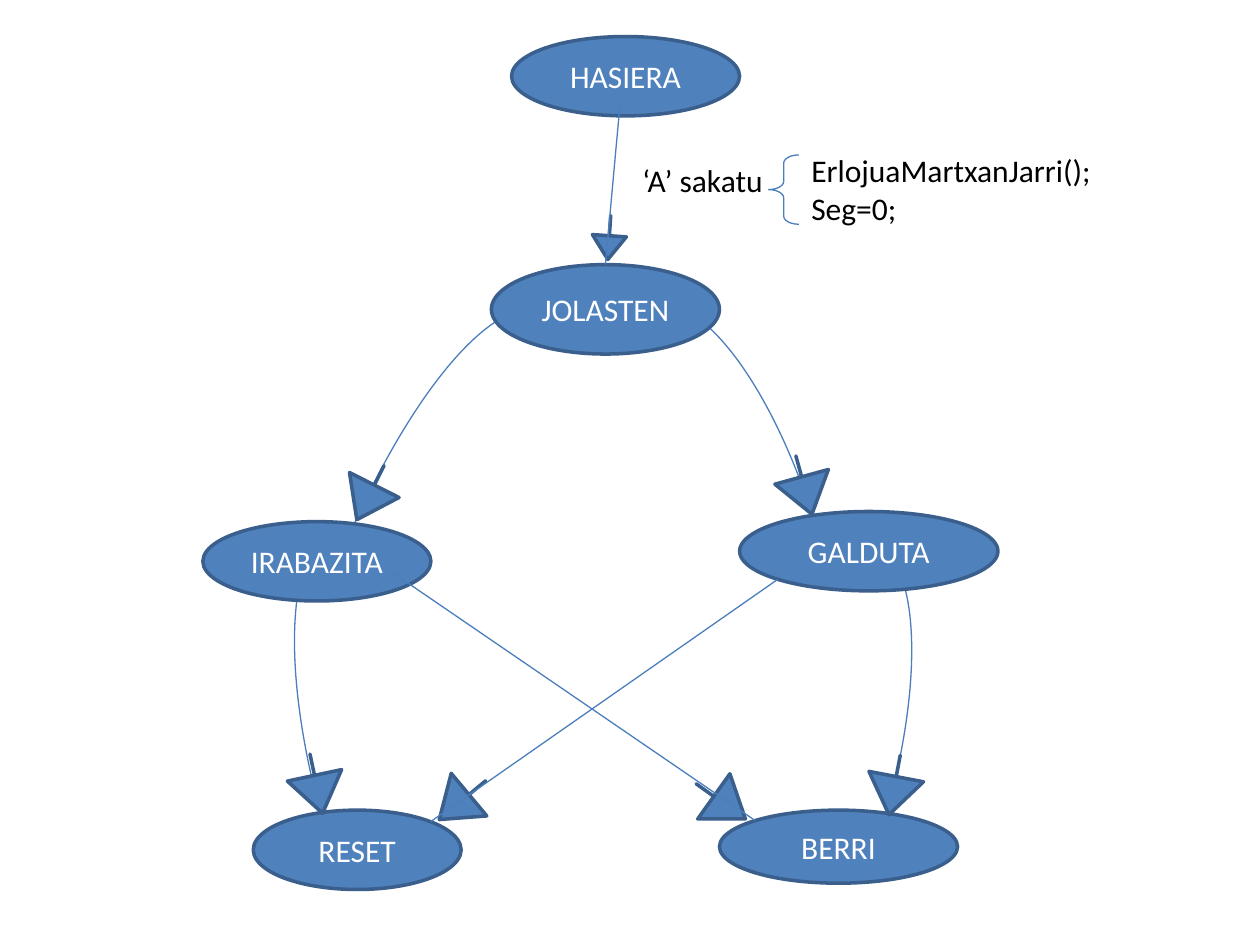
import pptx
import pptx.util
import pptx.dml.color
import pptx.enum.shapes
import pptx.enum.text
import pptx.oxml.ns

COLS, ROWS = 100, 75
HUES = {"fill": "4F81BD", "edge": "3A5F8C", "wire": "4B7EBC",
        "light": "FFFFFF", "dark": "000000"}
KIND = pptx.enum.shapes.MSO_SHAPE
FONT = {"name": "Calibri", "size": pptx.util.Pt(18)}
MID = {"vertical_anchor": pptx.enum.text.MSO_ANCHOR.MIDDLE, "word_wrap": True}
FREE = {"vertical_anchor": pptx.enum.text.MSO_ANCHOR.TOP, "word_wrap": False}

deck = pptx.Presentation()
deck.slide_width = pptx.util.Inches(10)
deck.slide_height = pptx.util.Inches(7.5)
slide = deck.slides.add_slide(deck.slide_layouts[6])
parts = slide.shapes


def spot(box, x, y):
    """Slide position of a column and row counted from the box's corner."""
    return (int((box[0] + x) * deck.slide_width / COLS),
            int((box[1] + y) * deck.slide_height / ROWS))


def area(box, x, y, w, h):
    return spot(box, x, y) + spot((0, 0), w, h)


def shade(name):
    return pptx.dml.color.RGBColor.from_string(HUES[name])


def apply(item, values):
    for key, value in values.items():
        setattr(item, key, value)


def ink(line, hue, width):
    line.color.rgb = shade(hue)
    line.width = pptx.util.Pt(width)


def write(shape, rows, hue, frame, align):
    apply(shape.text_frame, frame)
    shape.text_frame.text = "\n".join(rows)
    for para in shape.text_frame.paragraphs:
        para.alignment = align
        apply(para.font, FONT)
        para.font.color.rgb = shade(hue)


def draw(kind, place, turn=0, adjust=(), solid=True):
    """Solid shape with a strong edge, or a thin open outline."""
    shape = parts.add_shape(kind, *place)
    shape.shadow.inherit = False
    shape.rotation = turn
    for i, value in enumerate(adjust):
        shape.adjustments[i] = value
    if solid:
        shape.fill.solid()
        shape.fill.fore_color.rgb = shade("fill")
        ink(shape.line, "edge", 2)
    else:
        shape.fill.background()
        ink(shape.line, "wire", 0.75)
    return shape


def curves(box):
    left, right = (162, 215.16), (0.65, 54)
    for place, turn, sweep in [
            ((9.1, 57.8, 51.9, 17.3), 251.3, left),
            ((33.6, 38.3, 47.3, 17.3), 255.6, right),
            ((35.9, 57.6, 49.8, 17.3), 289.2, right),
            ((6.4, 41.8, 54.9, 17.3), 290, left)]:
        draw(KIND.ARC, area(box, *place), turn, sweep, solid=False)


def states(box):
    nodes = {}
    for name, *place in [
            ("HASIERA", 40.6, 2.9, 18.1, 6.3),
            ("JOLASTEN", 39, 21, 18.1, 7.1),
            ("IRABAZITA", 16.1, 41.4, 18.1, 6.3),
            ("GALDUTA", 58.7, 40.6, 20.5, 6.3),
            ("BERRI", 57.1, 64.3, 18.9, 5.8),
            ("RESET", 20.1, 64.3, 16.5, 6.3)]:
        nodes[name] = draw(KIND.OVAL, area(box, *place))
        write(nodes[name], [name], "light", MID, pptx.enum.text.PP_ALIGN.CENTER)
    return nodes


def heads(box):
    big = (4.4, 4.8)
    for x, y, size, turn in [
            (47, 17.1, (2.7, 3.5), 183.8),
            (27.2, 36.7, big, 206.7),
            (61.6, 36.1, big, 164.6),
            (22.9, 59.8, big, 168),
            (68.8, 59.9, big, 190.8),
            (55, 61.2, big, 125.5),
            (34.5, 61.1, big, 230.1)]:
        draw(KIND.UP_ARROW, area(box, x, y, *size), turn, (0, 0.7))


def wires(box, nodes):
    for start, end, goal in [
            ((31.1, 45.4), (59.9, 65.1), None),
            ((61.7, 46), (34.2, 65.2), None),
            ((49.2, 8.4), (48, 21), "JOLASTEN")]:
        wire = parts.add_connector(pptx.enum.shapes.MSO_CONNECTOR.STRAIGHT,
                                   *spot(box, *start), *spot(box, *end))
        ink(wire.line, "wire", 0.75)
        props = wire.element.spPr
        props.append(props.makeelement(pptx.oxml.ns.qn("a:effectLst"), {}))
        if goal:
            wire.end_connect(nodes[goal], 0)


def note(box):
    """Event on the left, brace, and the actions it sets off."""
    def words(place, rows):
        write(parts.add_textbox(*area(box, *place)), rows, "dark", FREE,
              pptx.enum.text.PP_ALIGN.LEFT)

    words((0, 0.8, 11.8, 4), ["‘A’ sakatu"])
    draw(KIND.LEFT_BRACE, area(box, 11, 0.8, 2.4, 5.5),
         adjust=(0.27, 0.5), solid=False)
    words((13.4, 0, 25.2, 7.1), ["ErlojuaMartxanJarri();", "Seg=0;"])


# State diagram, from back to front
flow = (0, 0)
curves(flow)
nodes = states(flow)
heads(flow)
wires(flow, nodes)

# Label of the first step
note((50, 11.5))

deck.save("out.pptx")
